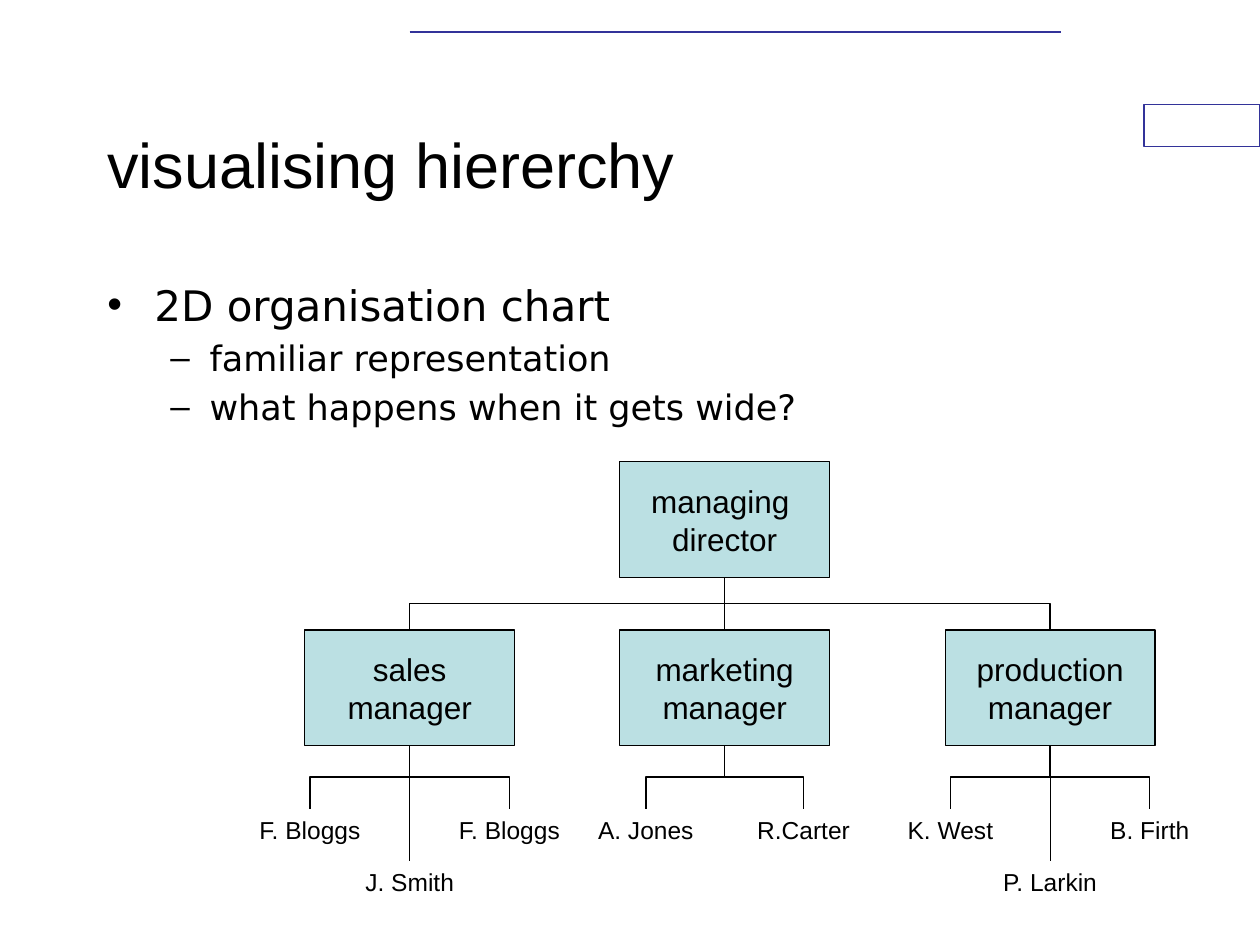
"""Build a slide that shows a company hierarchy as an organisation chart."""
from pptx import Presentation
from pptx.dml.color import RGBColor
from pptx.enum.shapes import MSO_CONNECTOR, MSO_SHAPE
from pptx.enum.text import MSO_ANCHOR, MSO_AUTO_SIZE, PP_ALIGN
from pptx.oxml.ns import qn
from pptx.util import Cm, Pt
from lxml.etree import SubElement

BLACK, WHITE, NAVY, TEAL = "000000", "FFFFFF", "333399", "BBE0E3"
color = RGBColor.from_string

presentation = Presentation()
presentation.slide_width, presentation.slide_height = Cm(25.4), Cm(19.05)
slide = presentation.slides.add_slide(presentation.slide_layouts[1])
shapes = slide.shapes


def add_box(center, top, width, height, fill, line=None, paragraphs=(), size=18):
    """Add a rectangle centred on a column, with one run per text line."""
    box = shapes.add_shape(MSO_SHAPE.RECTANGLE, Cm(center - width / 2), Cm(top), Cm(width), Cm(height))
    box.shadow.inherit = False
    box.fill.solid()
    box.fill.fore_color.rgb = color(fill)
    if line:
        box.line.color.rgb = color(line)
        box.line.width = Pt(0.75)
    else:
        box.line.fill.background()
    frame = box.text_frame
    frame.word_wrap = False
    frame.vertical_anchor = MSO_ANCHOR.MIDDLE
    for number, text in enumerate(paragraphs):
        paragraph = frame.add_paragraph() if number else frame.paragraphs[0]
        paragraph.alignment = PP_ALIGN.CENTER
        for row, words in enumerate(text.split("\n")):
            if row:
                paragraph.add_line_break()
            run = paragraph.add_run()
            run.text = words
            run.font.name, run.font.size = "Arial", Pt(size)
            run.font.color.rgb = color(BLACK)


def add_link(x1, y1, x2, y2, line=BLACK, width=0.75):
    """Add a straight line, or an elbow that leaves and arrives vertically."""
    if x1 == x2 or y1 == y2:
        link = shapes.add_connector(MSO_CONNECTOR.STRAIGHT, Cm(x1), Cm(y1), Cm(x2), Cm(y2))
    else:
        middle_x, middle_y = (x1 + x2) / 2, (y1 + y2) / 2
        half_drop, half_span = (y2 - y1) / 2, abs(x2 - x1) / 2
        rightward = x2 > x1
        reach = half_drop if rightward else -half_drop
        link = shapes.add_connector(
            MSO_CONNECTOR.ELBOW,
            Cm(middle_x + reach), Cm(middle_y - half_span),
            Cm(middle_x - reach), Cm(middle_y + half_span))
        degrees = 270 if rightward else 90
        link._element.spPr.find(qn("a:xfrm")).set("rot", str(degrees * 60000))
    link.line.color.rgb = color(line)
    link.line.width = Pt(width)
    SubElement(link._element.spPr, qn("a:effectLst"))


add_link(8.26, 0.64, 21.39, 0.64, NAVY, 1)
add_box(24.23, 2.11, 2.34, 0.84, WHITE, NAVY)

title = shapes.title
title.left, title.top, title.width, title.height = Cm(1.91), Cm(1.7), Cm(19.05), Cm(3.18)
title.text_frame.vertical_anchor = MSO_ANCHOR.MIDDLE
title.text_frame.auto_size = MSO_AUTO_SIZE.NONE
heading = title.text_frame.paragraphs[0]
heading.alignment = PP_ALIGN.LEFT
heading_run = heading.add_run()
heading_run.text = "visualising hiererchy"
heading_run.font.name, heading_run.font.size = "Arial", Pt(36)
heading_run.font.color.rgb = color(BLACK)

points = slide.placeholders[1]
points.left, points.top, points.width, points.height = Cm(1.91), Cm(5.5), Cm(21.59), Cm(11.43)
points.text_frame.auto_size = MSO_AUTO_SIZE.NONE
point_styles = [("•", 24, 0.95, -0.95), ("–", 20, 2.06, -0.79)]
point_texts = [
    (0, "2D organisation chart"),
    (1, "familiar representation"),
    (1, "what happens when it gets wide?"),
]
for number, (level, words) in enumerate(point_texts):
    bullet, size, margin, indent = point_styles[level]
    point = points.text_frame.add_paragraph() if number else points.text_frame.paragraphs[0]
    point.level = level
    properties = point._p.get_or_add_pPr()
    properties.set("marL", str(Cm(margin)))
    properties.set("indent", str(Cm(indent)))
    SubElement(properties, qn("a:buChar"), char=bullet)
    if number == 0:
        point.space_before = Pt(0)
    point_run = point.add_run()
    point_run.text = words
    point_run.font.name, point_run.font.size = "DejaVu Sans", Pt(size)
    point_run.font.color.rgb = color(BLACK)

director_x, director_top, manager_top = 14.61, 9.31, 12.7
box_width, box_height = 4.23, 2.33
staff_top, lower_staff_top, staff_height = 16.3, 17.36, 0.84
director_bottom, manager_bottom = director_top + box_height, manager_top + box_height

departments = [
    (8.26, "sales\nmanager", 2.01, ("F. Bloggs", "F. Bloggs"), "J. Smith"),
    (director_x, "marketing\nmanager", 1.59, ("A. Jones", "R.Carter"), None),
    (21.17, "production\nmanager", 2.01, ("K. West", "B. Firth"), "P. Larkin"),
]

add_box(director_x, director_top, box_width, box_height, TEAL, BLACK, ["managing ", "director"])
for manager_x, manager, spread, staff, lower_staff in departments:
    add_box(manager_x, manager_top, box_width, box_height, TEAL, BLACK, [manager])
    for side, person in zip((-1, 1), staff):
        add_box(manager_x + side * spread, staff_top, 3.18, staff_height, WHITE, None, [person], 14)
    if lower_staff:
        add_box(manager_x, lower_staff_top, 3.39, staff_height, WHITE, None, [lower_staff], 14)
    for side in (-1, 1):
        add_link(manager_x, manager_bottom, manager_x + side * spread, staff_top)
    if lower_staff:
        add_link(manager_x, manager_bottom, manager_x, lower_staff_top)
for manager_x, *_ in departments:
    add_link(director_x, director_bottom, manager_x, manager_top)

presentation.save("out.pptx")
